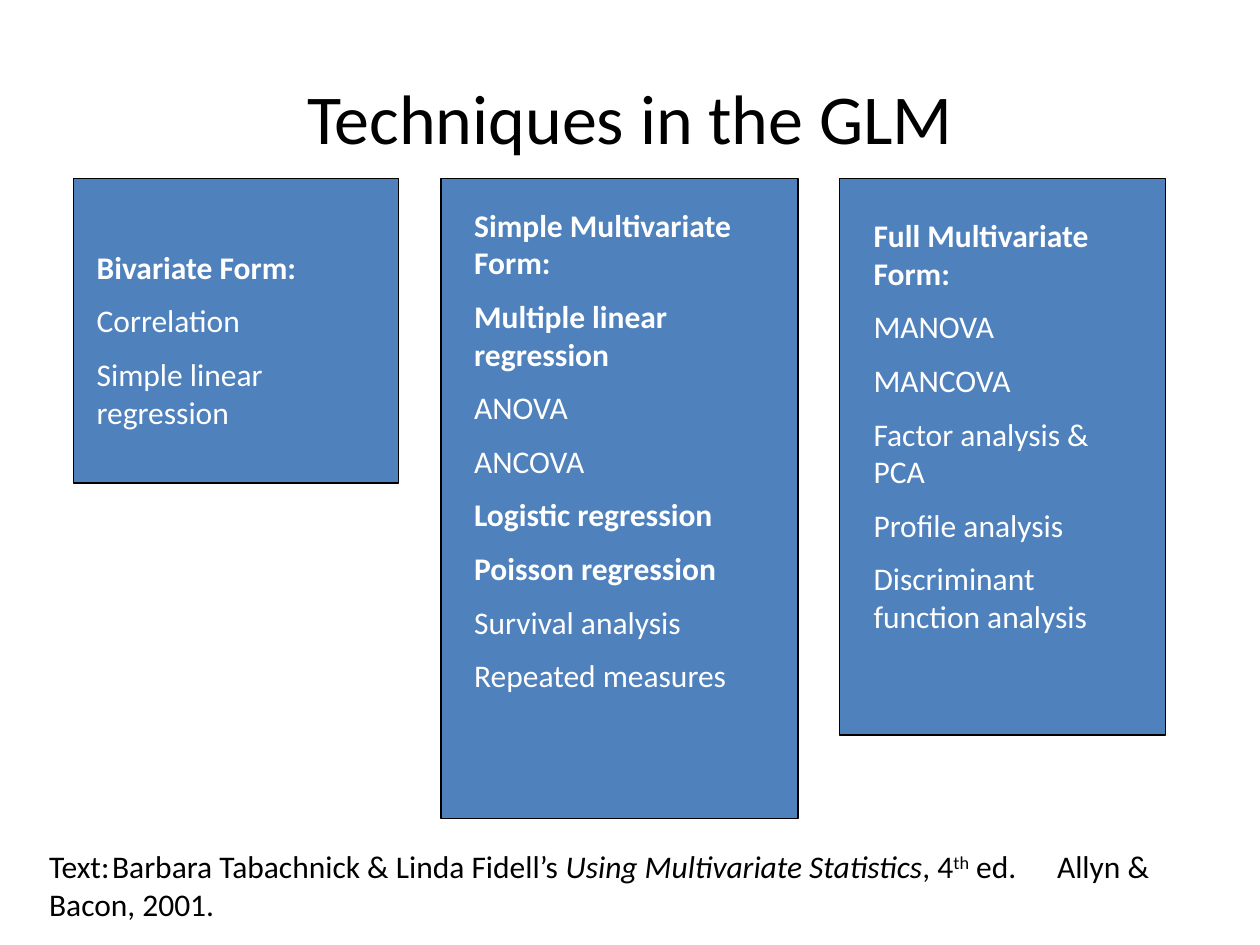
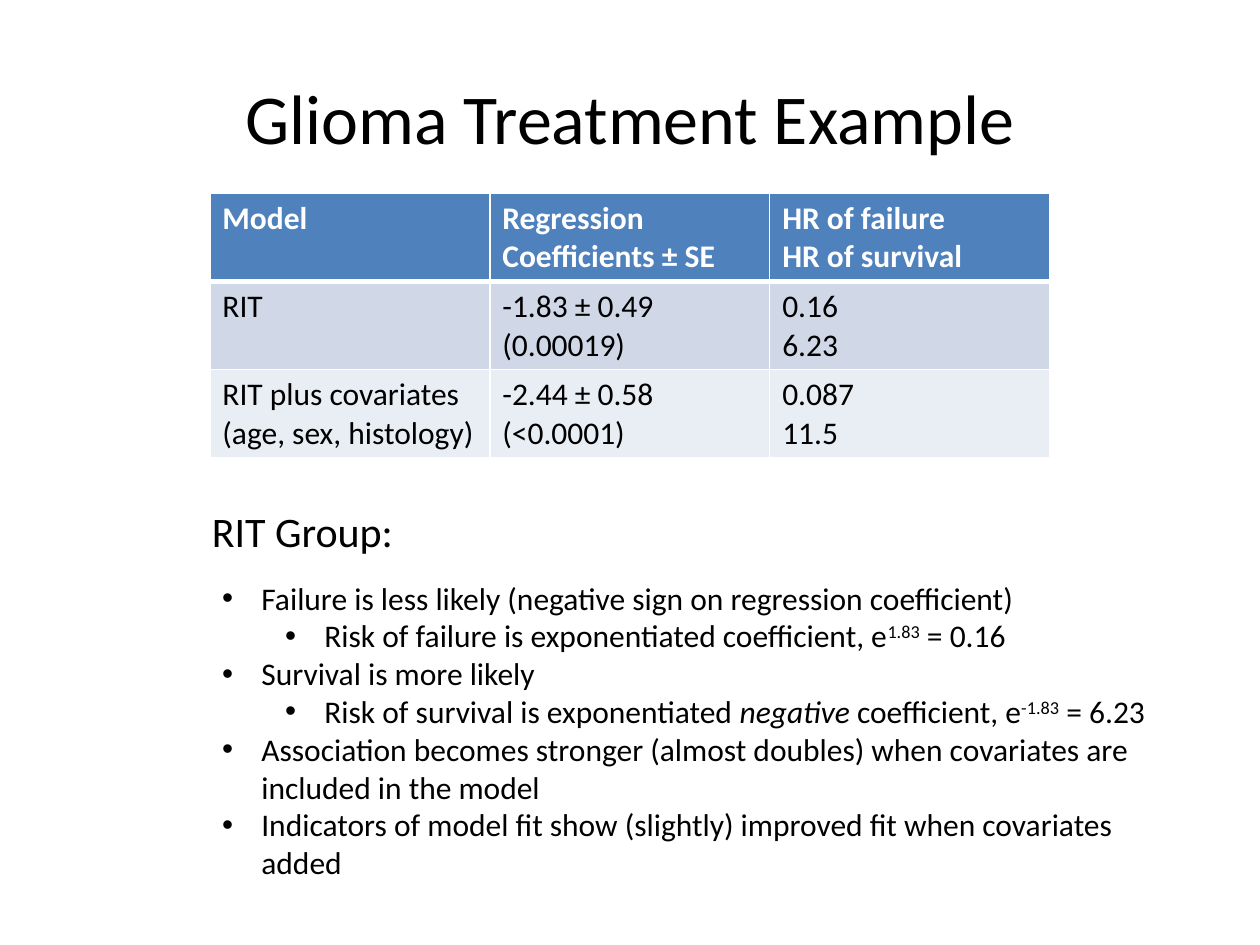
from dataclasses import dataclass

from lxml import etree
from pptx import Presentation
from pptx.dml.color import RGBColor
from pptx.enum.shapes import MSO_SHAPE
from pptx.enum.text import MSO_ANCHOR, PP_ALIGN
from pptx.oxml.ns import qn
from pptx.util import Cm, Pt

RECTANGLE = MSO_SHAPE.RECTANGLE
MIDDLE = MSO_ANCHOR.MIDDLE
LEFT, CENTER = PP_ALIGN.LEFT, PP_ALIGN.CENTER


@dataclass(frozen=True)
class Theme:
    font: str = "Calibri"
    black: RGBColor = RGBColor(0, 0, 0)
    white: RGBColor = RGBColor(255, 255, 255)
    blue: RGBColor = RGBColor(0x4F, 0x81, 0xBD)
    row_fills: tuple = (RGBColor(0xD0, 0xD8, 0xE8), RGBColor(0xE9, 0xED, 0xF4))
    title_size: int = 40
    heading_size: int = 24
    body_size: int = 18
    paragraph_gap: int = 9


THEME = Theme()


def add_box(page, left, top, width, height):
    """Add a wrapping text box, measured in centimetres, and return its text frame."""
    box = page.shapes.add_textbox(Cm(left), Cm(top), Cm(width), Cm(height))
    box.text_frame.word_wrap = True
    return box.text_frame


def write(frame, content, size=THEME.body_size, color=THEME.black, bold=False,
          gap=0, align=LEFT, bullet_indent=None, tabs=()):
    """Fill the next paragraph with a string or with (text, style) spans."""
    is_first = not frame.paragraphs[0].runs
    para = frame.paragraphs[0] if is_first else frame.add_paragraph()
    para.alignment = align
    if gap and not is_first:
        para.space_before = Pt(gap)
    properties = para._p.get_or_add_pPr()
    if bullet_indent:
        properties.set("marL", str(Cm(bullet_indent)))
        properties.set("indent", str(Cm(-0.79)))
        etree.SubElement(properties, qn("a:buFont"), typeface="Arial")
        etree.SubElement(properties, qn("a:buChar"), char="•")
    if tabs:
        tab_list = etree.SubElement(properties, qn("a:tabLst"))
        for position in tabs:
            etree.SubElement(tab_list, qn("a:tab"), pos=str(Cm(position)), algn="l")
    para.font.name = THEME.font
    para.font.size = Pt(size)
    para.font.bold = bold
    para.font.color.rgb = color
    for text, style in [(content, "")] if isinstance(content, str) else content:
        span = para.add_run()
        span.text = text
        if style == "italic":
            span.font.italic = True
        elif style == "super":
            span._r.get_or_add_rPr().set("baseline", "30000")


deck = Presentation()
deck.slide_width, deck.slide_height = Cm(25.4), Cm(19.05)

pages = []
for title in ("Techniques in the GLM", "Glioma Treatment Example"):
    page = deck.slides.add_slide(deck.slide_layouts[6])
    title_frame = add_box(page, 1.27, 0.76, 22.86, 3.18)
    title_frame.vertical_anchor = MIDDLE
    write(title_frame, title, THEME.title_size, align=CENTER)
    pages.append(page)
techniques_page, glioma_page = pages

# Techniques: panel (left, width, height), text area, lines, bold lines
PANEL_TOP = 3.6
panels = [
    ((1.48, 6.56, 6.14), (1.7, 4.87, 6.14, 4.06),
     ["Bivariate Form:", "Correlation", "Simple linear regression"], {0}),
    ((8.89, 7.2, 12.9), (9.31, 4.02, 6.35, 10.64),
     ["Simple Multivariate Form:", "Multiple linear regression", "ANOVA", "ANCOVA",
      "Logistic regression", "Poisson regression", "Survival analysis",
      "Repeated measures"], {0, 1, 4, 5}),
    ((16.93, 6.56, 11.22), (17.36, 4.23, 5.72, 9.1),
     ["Full Multivariate Form:", "MANOVA", "MANCOVA", "Factor analysis & PCA",
      "Profile analysis", "Discriminant function analysis"], {0}),
]
for (left, width, height), text_area, lines, bold_lines in panels:
    panel = techniques_page.shapes.add_shape(
        RECTANGLE, Cm(left), Cm(PANEL_TOP), Cm(width), Cm(height))
    panel.shadow.inherit = False
    panel.fill.solid()
    panel.fill.fore_color.rgb = THEME.blue
    panel.line.color.rgb = THEME.black
    panel.line.width = Pt(0.75)
    frame = add_box(techniques_page, *text_area)
    for index, line in enumerate(lines):
        write(frame, line, color=THEME.white, bold=index in bold_lines,
              gap=THEME.paragraph_gap)

reference = [
    ("Text:\tBarbara Tabachnick & Linda Fidell’s ", ""),
    ("Using Multivariate Statistics", "italic"),
    (", 4", ""), ("th", "super"), (" ed.\tAllyn & Bacon, 2001.", ""),
]
write(add_box(techniques_page, 0.74, 16.96, 23.92, 1.78), reference, tabs=(1.27, 20.32))

# Glioma: each cell is a list of paragraphs
model_rows = [
    [["Model"], ["Regression Coefficients ± SE"], ["HR of failure", "HR of survival"]],
    [["RIT"], ["-1.83 ± 0.49 (0.00019)"], ["0.16", "6.23"]],
    [["RIT plus covariates (age, sex, histology)"], ["-2.44 ± 0.58 (<0.0001)"],
     ["0.087", "11.5"]],
]
model_table = glioma_page.shapes.add_table(
    3, 3, Cm(4.23), Cm(3.89), Cm(16.93), Cm(5.34)).table
model_table.horz_banding = False
for row_index, row in enumerate(model_rows):
    is_header = row_index == 0
    model_table.rows[row_index].height = Cm(1.78)
    border_widths = {"lnL": 1, "lnR": 1, "lnT": 3 if row_index == 1 else 1,
                     "lnB": 3 if is_header else 1}
    for column_index, lines in enumerate(row):
        cell = model_table.cell(row_index, column_index)
        cell_properties = cell._tc.get_or_add_tcPr()
        for side, points in border_widths.items():
            border = etree.SubElement(cell_properties, qn(f"a:{side}"), w=str(Pt(points)))
            border_fill = etree.SubElement(border, qn("a:solidFill"))
            etree.SubElement(border_fill, qn("a:srgbClr"), val=str(THEME.white))
        cell.fill.solid()
        cell.fill.fore_color.rgb = THEME.blue if is_header else THEME.row_fills[row_index - 1]
        for line in lines:
            write(cell.text_frame, line, bold=is_header,
                  color=THEME.white if is_header else THEME.black)

findings = [
    (0, "Failure is less likely (negative sign on regression coefficient)"),
    (1, [("Risk of failure is exponentiated coefficient, e", ""), ("1.83", "super"),
         (" = 0.16", "")]),
    (0, "Survival is more likely"),
    (1, [("Risk of survival is exponentiated ", ""), ("negative", "italic"),
         (" coefficient, e", ""), ("-1.83", "super"), (" = 6.23", "")]),
    (0, "Association becomes stronger (almost doubles) when covariates are "
        "included in the model"),
    (0, "Indicators of model fit show (slightly) improved fit when covariates added"),
]
findings_frame = add_box(glioma_page, 4.23, 11.54, 19.45, 6.4)
for level, finding in findings:
    write(findings_frame, finding, bullet_indent=0.79 + 1.27 * level)

write(add_box(glioma_page, 4.02, 10.06, 10.2, 1.27), "RIT Group:", THEME.heading_size)

deck.save("out.pptx")
